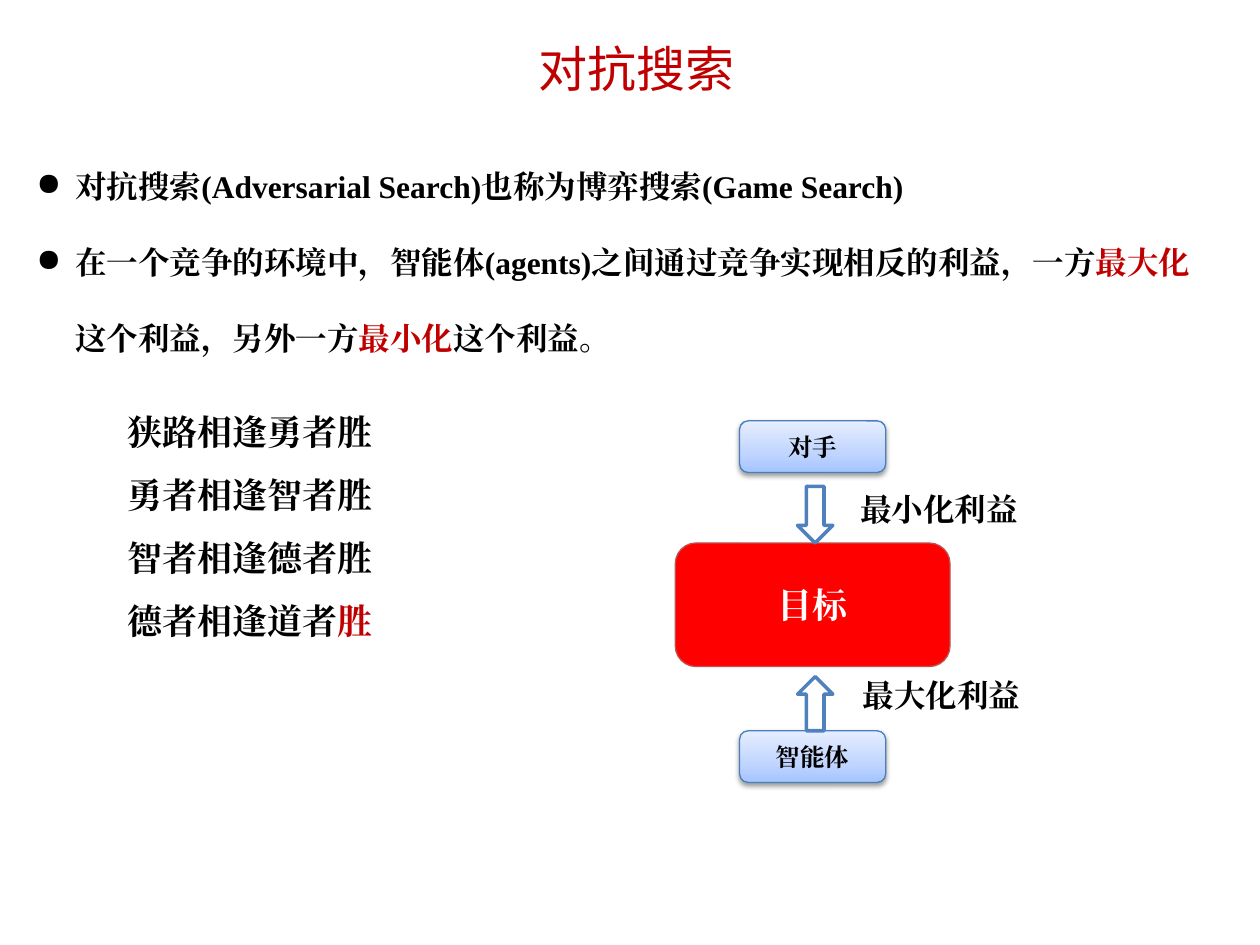
from dataclasses import dataclass

from lxml import etree
from pptx import Presentation
from pptx.dml.color import RGBColor
from pptx.enum.shapes import MSO_SHAPE as Shape
from pptx.enum.text import MSO_ANCHOR as Anchor, PP_ALIGN as Align
from pptx.oxml import parse_xml
from pptx.oxml.ns import nsdecls, qn
from pptx.util import Inches, Pt


@dataclass(frozen=True)
class Theme:
    title_font: str = "Noto Sans CJK SC"
    body_font: str = "Times New Roman"
    title: int = 28
    large: int = 20
    body: int = 18
    small: int = 14
    black: str = "000000"
    white: str = "FFFFFF"
    accent: str = "C00000"
    goal: str = "FF0000"
    goal_line: str = "C0504D"
    agent_line: str = "4B7EBC"
    arrow_line: str = "4F81BD"
    agent_stops: tuple = ((0, "A4C4FF"), (35, "BFD4FF"), (100, "E6EEFF"))


THEME = Theme()


def rgb(value):
    return RGBColor.from_string(value)


def style(para, size, color=THEME.black, bold=True, font=THEME.body_font):
    para.font.size = Pt(size)
    para.font.bold = bold
    para.font.color.rgb = rgb(color)
    para.font.name = font
    defaults = para._p.pPr.find(qn("a:defRPr"))
    etree.SubElement(defaults, qn("a:ea")).set("typeface", font)


def add_spans(para, spans):
    """Write (text, highlighted) spans."""
    for text, highlighted in spans:
        span = para.add_run()
        span.text = text
        if highlighted:
            span.font.color.rgb = rgb(THEME.accent)


def add_bullet(para, indent):
    props = para._p.get_or_add_pPr()
    props.set("marL", str(indent))
    props.set("indent", str(-indent))
    etree.SubElement(props, qn("a:buChar")).set("char", "●")


def add_text(page, box, paragraphs, size, spacing=1.0, bullets=False, wrap=True):
    frame = page.shapes.add_textbox(*map(Inches, box)).text_frame
    frame.word_wrap = wrap
    for index, spans in enumerate(paragraphs):
        para = frame.add_paragraph() if index else frame.paragraphs[0]
        para.line_spacing = spacing
        if bullets:
            add_bullet(para, Inches(0.31))
        style(para, size)
        add_spans(para, spans)


def add_title(page, box, text):
    frame = page.shapes.add_textbox(*map(Inches, box)).text_frame
    frame.word_wrap = True
    frame.vertical_anchor = Anchor.MIDDLE
    frame.margin_top = Inches(0.16)
    para = frame.paragraphs[0]
    para.alignment = Align.CENTER
    para.line_spacing = 0.9
    style(para, THEME.title, THEME.accent, False, THEME.title_font)
    para.add_run().text = text


def add_outlined(page, kind, box, fill, line, width):
    shape = page.shapes.add_shape(kind, *map(Inches, box))
    shape.shadow.inherit = False
    shape.fill.solid()
    shape.fill.fore_color.rgb = rgb(fill)
    shape.line.color.rgb = rgb(line)
    shape.line.width = Pt(width)
    return shape


def add_node(page, box, text, size, color, fill, line):
    shape = add_outlined(page, Shape.ROUNDED_RECTANGLE, box, fill, line, 0.75)
    frame = shape.text_frame
    frame.word_wrap = False
    frame.vertical_anchor = Anchor.MIDDLE
    frame.margin_top = frame.margin_bottom = 0
    para = frame.paragraphs[0]
    para.alignment = Align.CENTER
    style(para, size, color)
    para.add_run().text = text
    return shape


def add_agent(page, box, text):
    """Rounded node with an upward gradient and a soft shadow."""
    shape = add_node(page, box, text, THEME.small, THEME.black,
                     THEME.white, THEME.agent_line)
    props = shape._element.spPr
    stops = "".join(
        f'<a:gs pos="{pos * 1000}"><a:srgbClr val="{color}"/></a:gs>'
        for pos, color in THEME.agent_stops)
    gradient = parse_xml(
        f'<a:gradFill {nsdecls("a")} rotWithShape="1"><a:gsLst>{stops}</a:gsLst>'
        '<a:lin ang="16200000" scaled="0"/></a:gradFill>')
    props.replace(props.find(qn("a:solidFill")), gradient)
    props.find(qn("a:effectLst")).append(parse_xml(
        f'<a:outerShdw {nsdecls("a")} blurRad="{Pt(3.1)}" dist="{Pt(1.6)}" '
        f'dir="5400000" rotWithShape="0"><a:srgbClr val="{THEME.black}">'
        '<a:alpha val="38000"/></a:srgbClr></a:outerShdw>'))


def add_game_diagram(page, box):
    """Opponent above and agent below, both pushing on the goal."""
    left, top, width, height = box
    agent_width, agent_height = 1.16, 0.41
    agent_left = left + (width - agent_width) / 2
    agent_top = top + height - agent_height
    goal_top, goal_height = top + 0.97, 0.98
    arrow_left, arrow_width = left + 0.97, 0.28

    add_agent(page, (agent_left, agent_top, agent_width, agent_height), "智能体")
    add_node(page, (left, goal_top, width, goal_height), "目标",
             THEME.large, THEME.white, THEME.goal, THEME.goal_line)
    add_agent(page, (agent_left, top, agent_width, agent_height), "对手")

    # Arrows and what each side does
    for kind, start, end, label, label_left, label_top in (
        (Shape.UP_ARROW, agent_top - 0.43, agent_top, "最大化利益", 1.39, 1.98),
        (Shape.DOWN_ARROW, goal_top - 0.45, goal_top, "最小化利益", 1.37, 0.5),
    ):
        add_outlined(page, kind, (arrow_left, start, arrow_width, end - start),
                     THEME.white, THEME.arrow_line, 2)
        add_text(page, (left + label_left, top + label_top, 1.46, 0.4),
                 [[(label, False)]], THEME.body, wrap=False)


def main():
    deck = Presentation()
    deck.slide_width, deck.slide_height = Inches(10), Inches(7.5)
    page = deck.slides.add_slide(deck.slide_layouts[6])

    add_title(page, (0.47, 0.15, 9.16, 0.72), "对抗搜索")

    # Definition
    add_text(page, (0.19, 0.98, 9.47, 2.52), [
        [("对抗搜索(Adversarial Search)也称为博弈搜索(Game Search)", False)],
        [("在一个竞争的环境中，智能体(agents)之间通过竞争实现相反的利益，一方", False),
         ("最大化", True), ("这个利益，另外一方", False),
         ("最小化", True), ("这个利益。", False)],
    ], THEME.body, spacing=2, bullets=True)

    # Proverb
    add_text(page, (0.91, 3.04, 3.09, 2.12), [
        [("狭路相逢勇者胜", False)],
        [("勇者相逢智者胜", False)],
        [("智者相逢德者胜", False)],
        [("德者相逢道者", False), ("胜", True)],
    ], THEME.large, spacing=1.5)

    add_game_diagram(page, (5.36, 3.34, 2.18, 2.87))
    deck.save("out.pptx")


if __name__ == "__main__":
    main()
